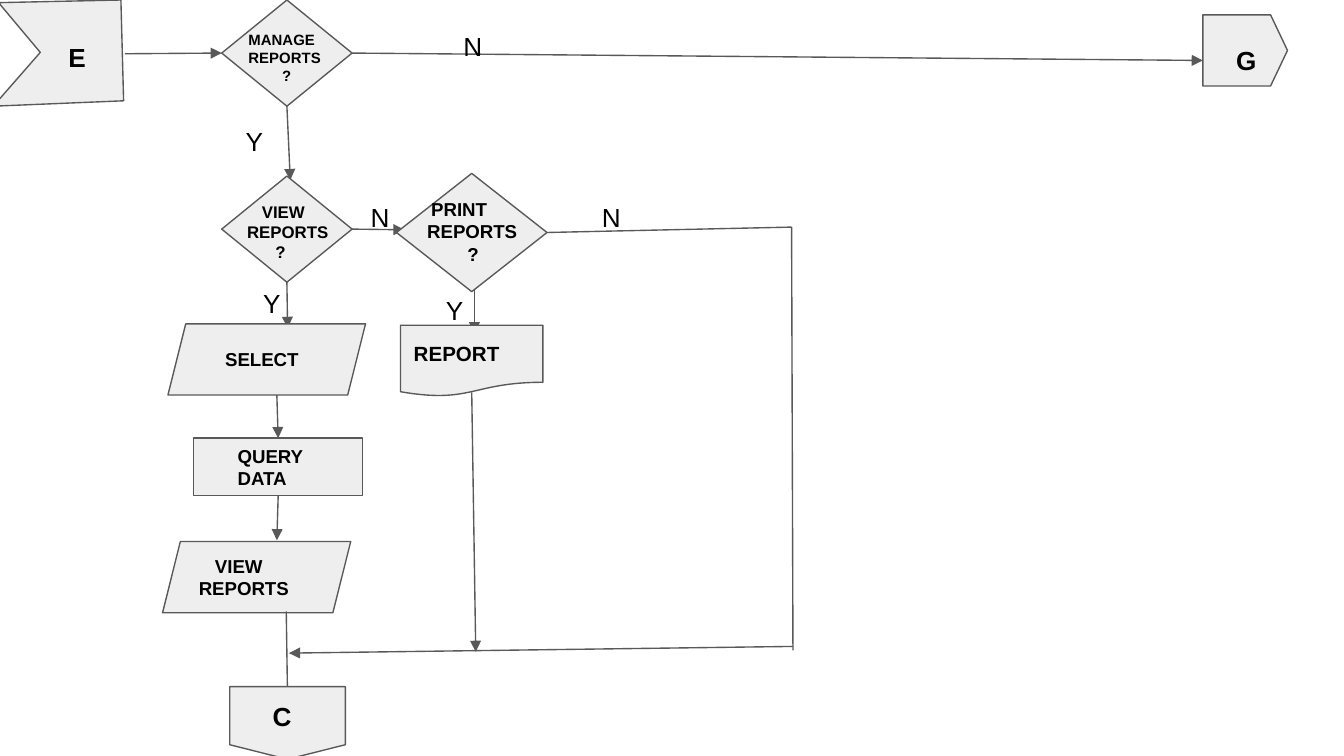
from lxml.etree import SubElement
from pptx import Presentation
from pptx.dml.color import RGBColor
from pptx.enum.shapes import MSO_CONNECTOR, MSO_SHAPE
from pptx.enum.text import MSO_ANCHOR, PP_ALIGN
from pptx.oxml.ns import qn
from pptx.util import Inches, Pt

FILL, LINE, INK = "EEEEEE", "595959", "000000"
TOP, LEFT, BOTTOM, RIGHT = range(4)


def color(code):
    return RGBColor.from_string(code)


def write(shape, lines, size, bold=True, anchor=MSO_ANCHOR.TOP):
    frame = shape.text_frame
    frame.word_wrap = True
    frame.vertical_anchor = anchor
    frame.margin_left = frame.margin_right = Inches(0.1)
    frame.margin_top = frame.margin_bottom = Inches(0.1)
    for i, (text, indent) in enumerate(lines):
        para = frame.add_paragraph() if i else frame.paragraphs[0]
        para.alignment = PP_ALIGN.LEFT
        para._p.get_or_add_pPr().set("marL", str(Inches(indent)))
        run = para.add_run()
        run.text = text
        run.font.name = "Arial"
        run.font.size = Pt(size)
        run.font.bold = bold
        run.font.color.rgb = color(INK)


def paint(shape):
    shape.shadow.inherit = False
    shape.fill.solid()
    shape.fill.fore_color.rgb = color(FILL)
    shape.line.color.rgb = color(LINE)
    shape.line.width = Pt(0.75)


def node(slide, kind, x, y, w, h, lines=(), size=10):
    shape = slide.shapes.add_shape(kind, Inches(x), Inches(y), Inches(w), Inches(h))
    paint(shape)
    if lines:
        write(shape, lines, size, anchor=MSO_ANCHOR.MIDDLE)
    return shape


def label(slide, x, y, w, h, lines, size=14, bold=True):
    box = slide.shapes.add_textbox(Inches(x), Inches(y), Inches(w), Inches(h))
    write(box, lines, size, bold)


def answer(slide, x, y, text):
    label(slide, x, y, 0.4, 0.43, [(text, 0)], bold=False)


def link(slide, x1, y1, x2, y2, start=None, end=None, head=True):
    line = slide.shapes.add_connector(
        MSO_CONNECTOR.STRAIGHT, Inches(x1), Inches(y1), Inches(x2), Inches(y2))
    line.line.color.rgb = color(LINE)
    line.line.width = Pt(0.75)
    if start:
        line.begin_connect(*start)
    if end:
        line.end_connect(*end)
    if head:
        SubElement(line.line._get_or_add_ln(), qn("a:tailEnd"), type="triangle")
    SubElement(line._element.spPr, qn("a:effectLst"))


def entry(slide, x, y):
    points = [(0.9, 0), (-0.01, 0.02), (0.3, 0.39), (-0.05, 0.79), (0.92, 0.75)]
    spots = [(Inches(x + px), Inches(y + py)) for px, py in points]
    build = slide.shapes.build_freeform(*spots[0])
    build.add_line_segments(spots[1:], close=True)
    paint(build.convert_to_shape())
    label(slide, x + 0.41, y + 0.21, 0.4, 0.43, [("E", 0)])


def manage(slide, x, y):
    test = node(slide, MSO_SHAPE.DIAMOND, x, y, 0.97, 0.79)
    label(slide, x - 0.05, y + 0.13, 1.12, 0.86,
          [("MANAGE", 0.15), ("REPORTS", 0.15), ("?", 0.4)], 8)
    link(slide, x - 0.72, y + 0.4, x, y + 0.4, end=(test, LEFT))
    link(slide, x + 0.49, y + 0.79, x + 0.51, y + 1.34, start=(test, BOTTOM))
    link(slide, x + 0.97, y + 0.4, x + 7.3, y + 0.45, start=(test, RIGHT))
    answer(slide, x + 1.7, y + 0.13, "N")
    answer(slide, x + 0.08, y + 0.83, "Y")


def leave(slide, x, y):
    page = node(slide, MSO_SHAPE.FLOWCHART_OFFPAGE_CONNECTOR, x + 0.05, y - 0.05, 0.53, 0.63)
    page.rotation = 270
    label(slide, x + 0.15, y + 0.12, 0.4, 0.43, [("G", 0)])


def view(slide, x, y):
    test = node(slide, MSO_SHAPE.DIAMOND, x + 0.45, y, 0.97, 0.79)
    label(slide, x + 0.3, y + 0.09, 1.14, 0.65,
          [("VIEW", 0.35), ("REPORTS", 0.24), ("?", 0.45)], 9)
    link(slide, x + 1.42, y + 0.4, x + 1.81, y + 0.4, start=(test, RIGHT))
    link(slide, x + 0.93, y + 0.79, x + 0.94, y + 1.13, start=(test, BOTTOM))
    node(slide, MSO_SHAPE.PARALLELOGRAM, x + 0.05, y + 1.1, 1.47, 0.53, [("SELECT", 0.15)])
    query = node(slide, MSO_SHAPE.RECTANGLE, x + 0.24, y + 1.95, 1.26, 0.43,
                 [("QUERY", 0.23), ("DATA", 0.23)])
    link(slide, x + 0.86, y + 1.63, x + 0.86, y + 1.95, end=(query, TOP))
    link(slide, x + 0.86, y + 2.38, x + 0.86, y + 2.71, start=(query, BOTTOM))
    node(slide, MSO_SHAPE.PARALLELOGRAM, x + 0.01, y + 2.72, 1.4, 0.53,
         [("VIEW", 0.12), ("REPORTS", 0)])
    link(slide, x + 0.93, y + 3.24, x + 0.94, y + 3.9)
    node(slide, MSO_SHAPE.FLOWCHART_OFFPAGE_CONNECTOR, x + 0.51, y + 3.8, 0.86, 0.54,
         [("C", 0.22)], 14)
    answer(slide, x + 1.46, y + 0.09, "N")
    answer(slide, x + 0.66, y + 0.73, "Y")


def output(slide, x, y):
    test = node(slide, MSO_SHAPE.DIAMOND, x, y, 1.12, 0.88)
    label(slide, x + 0.01, y + 0.08, 1.55, 0.7,
          [("PRINT", 0.15), ("REPORTS", 0.12), ("?", 0.42)], 10)
    link(slide, x + 0.58, y + 0.87, x + 0.58, y + 1.19)
    node(slide, MSO_SHAPE.FLOWCHART_DOCUMENT, x + 0.03, y + 1.13, 1.06, 0.53,
         [("REPORT", 0)], 11)
    link(slide, x + 0.56, y + 1.63, x + 0.59, y + 3.56)
    link(slide, x + 1.12, y + 0.44, x + 2.94, y + 0.4, start=(test, RIGHT), head=False)
    link(slide, x + 2.94, y + 0.4, x + 2.95, y + 3.55, head=False)
    link(slide, x + 2.95, y + 3.52, x - 0.8, y + 3.57)
    answer(slide, x + 1.43, y + 0.11, "N")
    answer(slide, x + 0.27, y + 0.8, "Y")


def main():
    deck = Presentation()
    deck.slide_width = Inches(10)
    deck.slide_height = deck.slide_width * 9 // 16
    slide = deck.slides.add_slide(deck.slide_layouts[6])
    entry(slide, 0, 0)
    manage(slide, 1.65, 0)
    leave(slide, 8.95, 0.11)
    view(slide, 1.2, 1.31)
    output(slide, 2.95, 1.29)
    deck.save("out.pptx")


if __name__ == "__main__":
    main()
